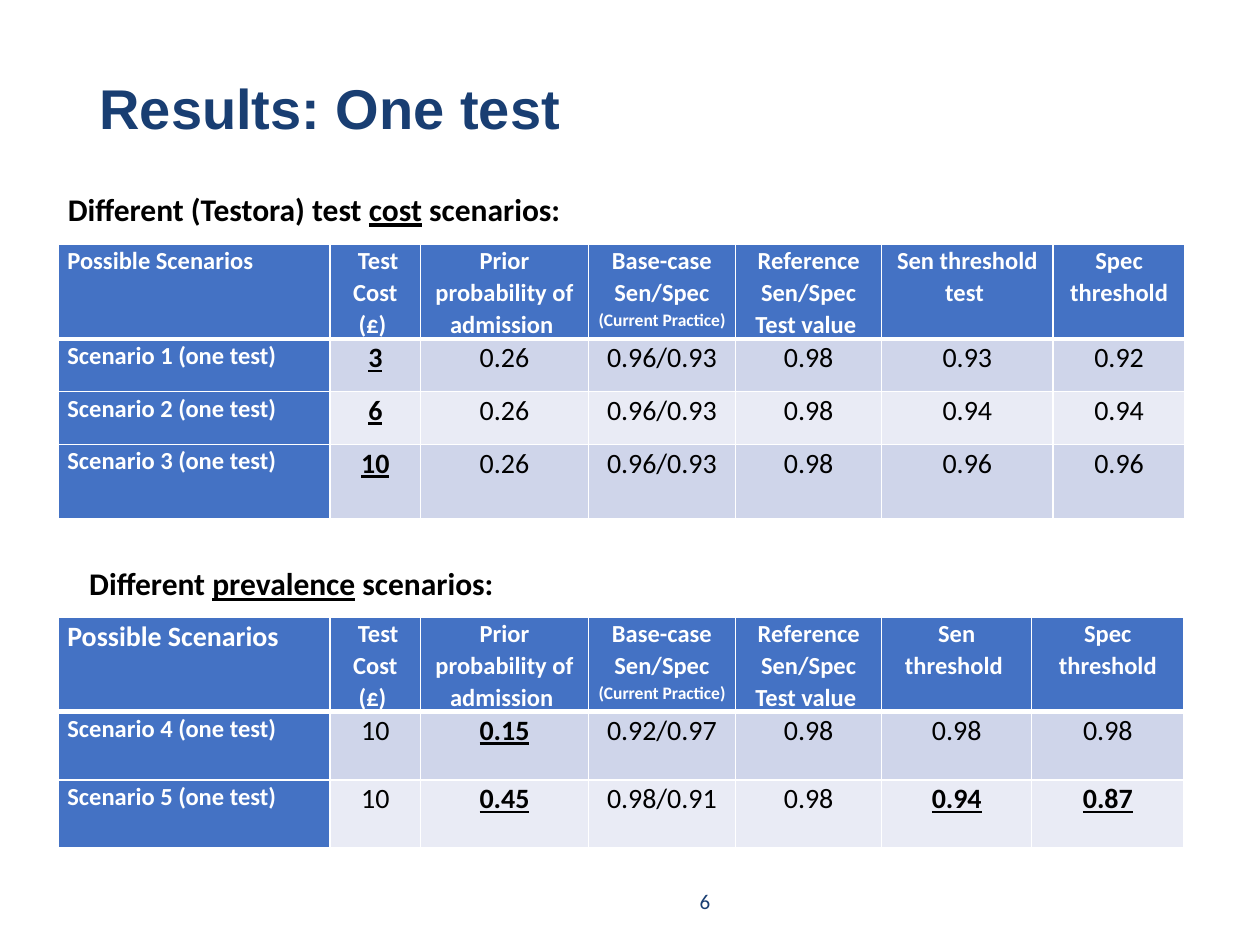
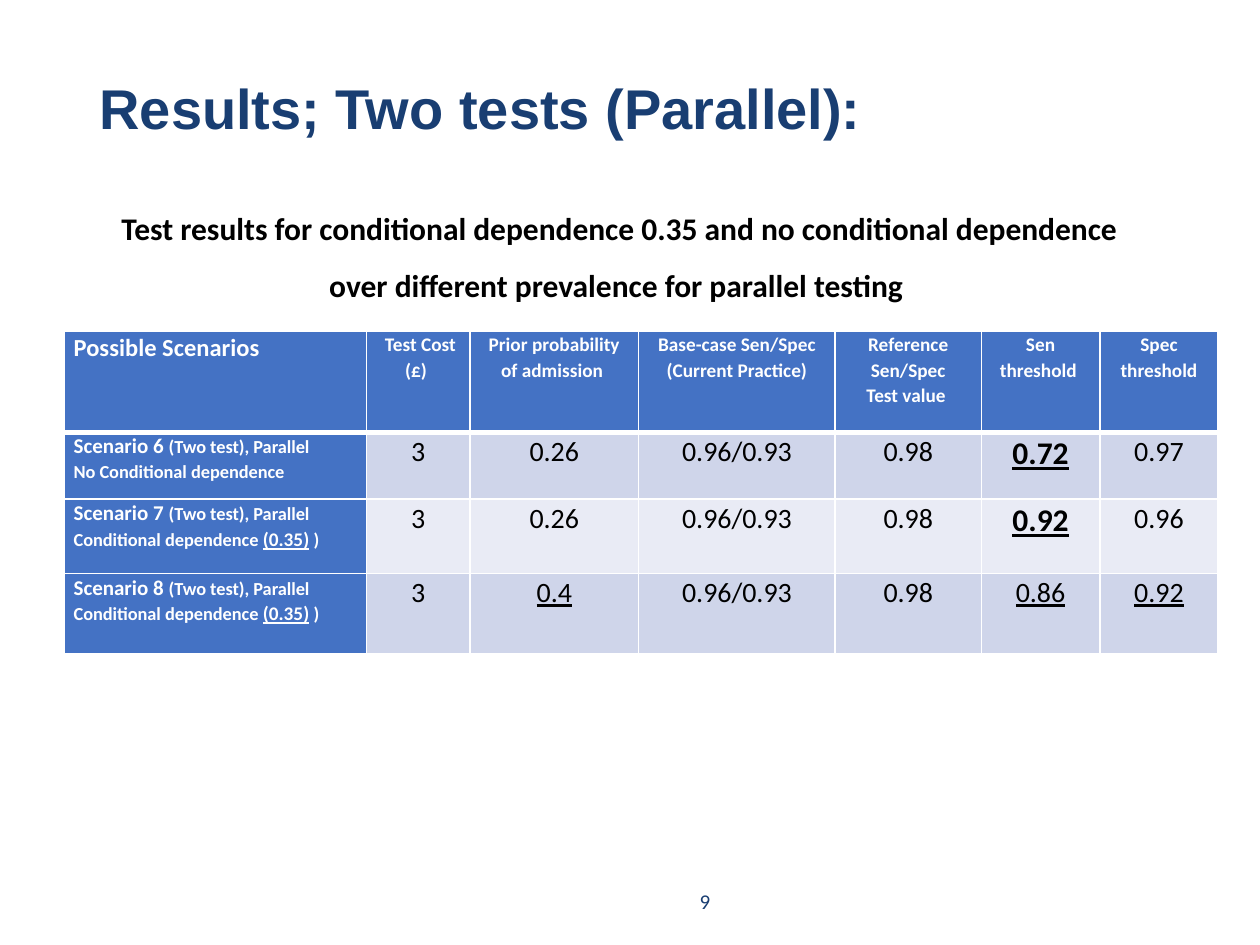
from dataclasses import dataclass

from lxml import etree
from pptx import Presentation
from pptx.dml.color import RGBColor as Rgb
from pptx.enum.text import MSO_ANCHOR as Anchor, MSO_AUTO_SIZE as AutoSize, PP_ALIGN as Align
from pptx.oxml.ns import qn
from pptx.util import Pt


@dataclass(frozen=True)
class Theme:
    navy: str = "193E72"
    blue: str = "4472C4"
    band_dark: str = "CFD5EA"
    band_light: str = "E9EBF5"
    white: str = "FFFFFF"
    black: str = "000000"
    title_font: str = "Arial"
    body_font: str = "Calibri"
    title_size: float = 32
    heading_size: float = 18
    value_size: float = 16
    label_size: float = 14
    number_size: float = 12
    scenario_size: float = 12
    detail_size: float = 10.5
    compact_size: float = 11
    note_size: float = 10
    line_spacing: float = 1.07


theme = Theme()


def write(frame, content, size, color, bold=True, align=Align.LEFT,
          spacing=theme.line_spacing, font=theme.body_font):
    if isinstance(content, str):
        content = [[(line, {})] for line in content.split("\n")]
    elif isinstance(content, tuple):
        content = [[content]]
    for index, runs in enumerate(content):
        paragraph = frame.add_paragraph() if index else frame.paragraphs[0]
        paragraph.alignment = align
        paragraph.line_spacing = spacing
        for text, style in runs:
            run = paragraph.add_run()
            run.text = text
            run.font.name = font
            run.font.size = Pt(style.get("size", size))
            run.font.bold = style.get("bold", bold)
            run.font.underline = style.get("underline", False)
            run.font.color.rgb = Rgb.from_string(color)


def add_scenarios(slide, left, top, widths, heights, rows, header_size, lead_size):
    table = slide.shapes.add_table(len(rows), len(widths), Pt(left), Pt(top),
                                   Pt(sum(widths)), Pt(sum(heights))).table
    for column, width in zip(table.columns, widths):
        column.width = Pt(width)
    for row, height in zip(table.rows, heights):
        row.height = Pt(height)
    for row_index, row in enumerate(rows):
        for column_index, content in enumerate(row):
            cell = table.cell(row_index, column_index)
            cell.margin_left = cell.margin_right = Pt(5.4)
            cell.margin_top = cell.margin_bottom = 0
            properties = cell._tc.get_or_add_tcPr()
            for side in ("lnL", "lnR", "lnT", "lnB"):
                thick = (row_index, side) in ((0, "lnB"), (1, "lnT"))
                line = etree.SubElement(properties, qn(f"a:{side}"), w=str(Pt(3 if thick else 1)))
                line_fill = etree.SubElement(line, qn("a:solidFill"))
                etree.SubElement(line_fill, qn("a:srgbClr"), val=theme.white)
            is_header, is_label = row_index == 0, column_index == 0
            band = theme.band_dark if row_index % 2 else theme.band_light
            cell.fill.solid()
            cell.fill.fore_color.rgb = Rgb.from_string(theme.blue if is_header or is_label else band)
            align = Align.LEFT if is_label else Align.CENTER
            if is_header:
                write(cell.text_frame, content, lead_size if is_label else header_size,
                      theme.white, align=align)
            elif is_label:
                write(cell.text_frame, content, theme.label_size, theme.white, align=align)
            else:
                write(cell.text_frame, content, theme.value_size, theme.black, False, align)


presentation = Presentation()
presentation.slide_width = Pt(720)
presentation.slide_height = Pt(540)

slides = []
for title_text, number in (("Results: One test", "6"), ("Results; Two tests (Parallel):", "9")):
    slide = presentation.slides.add_slide(presentation.slide_layouts[5])
    slides.append(slide)
    title = slide.shapes.title
    title.left, title.top, title.width, title.height = Pt(49.7), Pt(29.2), Pt(620.6), Pt(69.1)
    title.text_frame.auto_size = AutoSize.NONE
    title.text_frame.vertical_anchor = Anchor.MIDDLE
    write(title.text_frame, title_text, theme.title_size, theme.navy,
          spacing=0.9, font=theme.title_font)
    number_box = slide.shapes.add_textbox(Pt(321.8), Pt(500.4), Pt(162), Pt(28.8))
    number_box.text_frame.word_wrap = True
    number_box.text_frame.vertical_anchor = Anchor.MIDDLE
    write(number_box.text_frame, number, theme.number_size, theme.navy, False, Align.CENTER, 1)
one_test, two_tests = slides

underline = {"underline": True}
key = {"bold": True, "underline": True}
large_key = {**key, "size": theme.heading_size}

headings = [
    (31.7, 103.7, 308.9, "Different (Testora) test ", "cost"),
    (43.9, 317.5, 247.7, "Different ", "prevalence"),
]
for left, top, width, opening, focus in headings:
    heading = one_test.shapes.add_textbox(Pt(left), Pt(top), Pt(width), Pt(31))
    heading.text_frame.word_wrap = False
    write(heading.text_frame, [[(opening, {}), (focus, underline), (" scenarios:", {})]],
          theme.heading_size, theme.black)
    heading.text_frame.paragraphs[0].space_after = Pt(8)

lead_headers = ["Possible Scenarios", " Test Cost (£) ", "Prior probability of admission "]
base_case = [[("Base-case Sen/Spec", {})], [("(Current Practice)", {"size": theme.note_size})]]
reference = "Reference Sen/Spec\nTest value "
shared_widths = [155.5, 51.8, 95.8, 84.2, 83.5]

cost_rows = [lead_headers + [base_case, reference, "Sen threshold\ntest ", "Spec threshold"]]
for scenario, cost, sensitivity, specificity in (
        ("1", "3", "0.93", "0.92"), ("2", "6", "0.94", "0.94"), ("3", "10", "0.96", "0.96")):
    cost_rows.append([f"Scenario {scenario} (one test)", (cost, key), "0.26", "0.96/0.93",
                      "0.98", sensitivity, specificity])
add_scenarios(one_test, 33.1, 139.7, shared_widths + [97.9, 75.6], [52.6, 30.2, 30.2, 42.5],
              cost_rows, theme.label_size, theme.label_size)

prevalence_rows = [
    lead_headers + [base_case, reference, "Sen threshold ", "Spec threshold"],
    ["Scenario 4 (one test)", "10", ("0.15", key), "0.92/0.97", "0.98", "0.98", "0.98"],
    ["Scenario 5 (one test)", "10", ("0.45", key), "0.98/0.91", "0.98", ("0.94", key), ("0.87", key)],
]
add_scenarios(one_test, 33.1, 352.8, shared_widths + [85.7, 87.1], [52.6, 38.9, 38.9],
              prevalence_rows, theme.label_size, theme.value_size)

summary = two_tests.shapes.add_textbox(Pt(43.9), Pt(105.1), Pt(620.6), Pt(69.1))
summary.text_frame.word_wrap = True
write(summary.text_frame,
      "Test results for conditional dependence 0.35 and no conditional dependence "
      "over different prevalence for parallel testing ",
      theme.heading_size, theme.black, align=Align.CENTER, spacing=1.5)

detail = {"size": theme.detail_size}
dependent = [("Conditional dependence ", detail),
             ("(0.35)", {**underline, "size": theme.compact_size}), (" )", detail)]
parallel_rows = [lead_headers + ["Base-case Sen/Spec\n(Current Practice)", reference,
                                 "Sen threshold ", "Spec threshold"]]
for scenario, dependence, prior, sensitivity, specificity in (
        ("6", [("No Conditional dependence", detail)], "0.26", ("0.72", large_key), "0.97"),
        ("7", dependent, "0.26", ("0.92", large_key), "0.96"),
        ("8", dependent, ("0.4", underline), ("0.86", underline), ("0.92", underline))):
    label = [[(f"Scenario {scenario} ", {"size": theme.scenario_size}),
              ("(Two test), Parallel", detail)], dependence]
    parallel_rows.append([label, "3", prior, "0.96/0.93", "0.98", sensitivity, specificity])
add_scenarios(two_tests, 36.7, 189.4, [172.8, 59, 96.5, 112.3, 83.5, 67.7, 67.7],
              [57.6, 38.2, 42.5, 46.1], parallel_rows, theme.compact_size, theme.label_size)

presentation.save("out.pptx")
